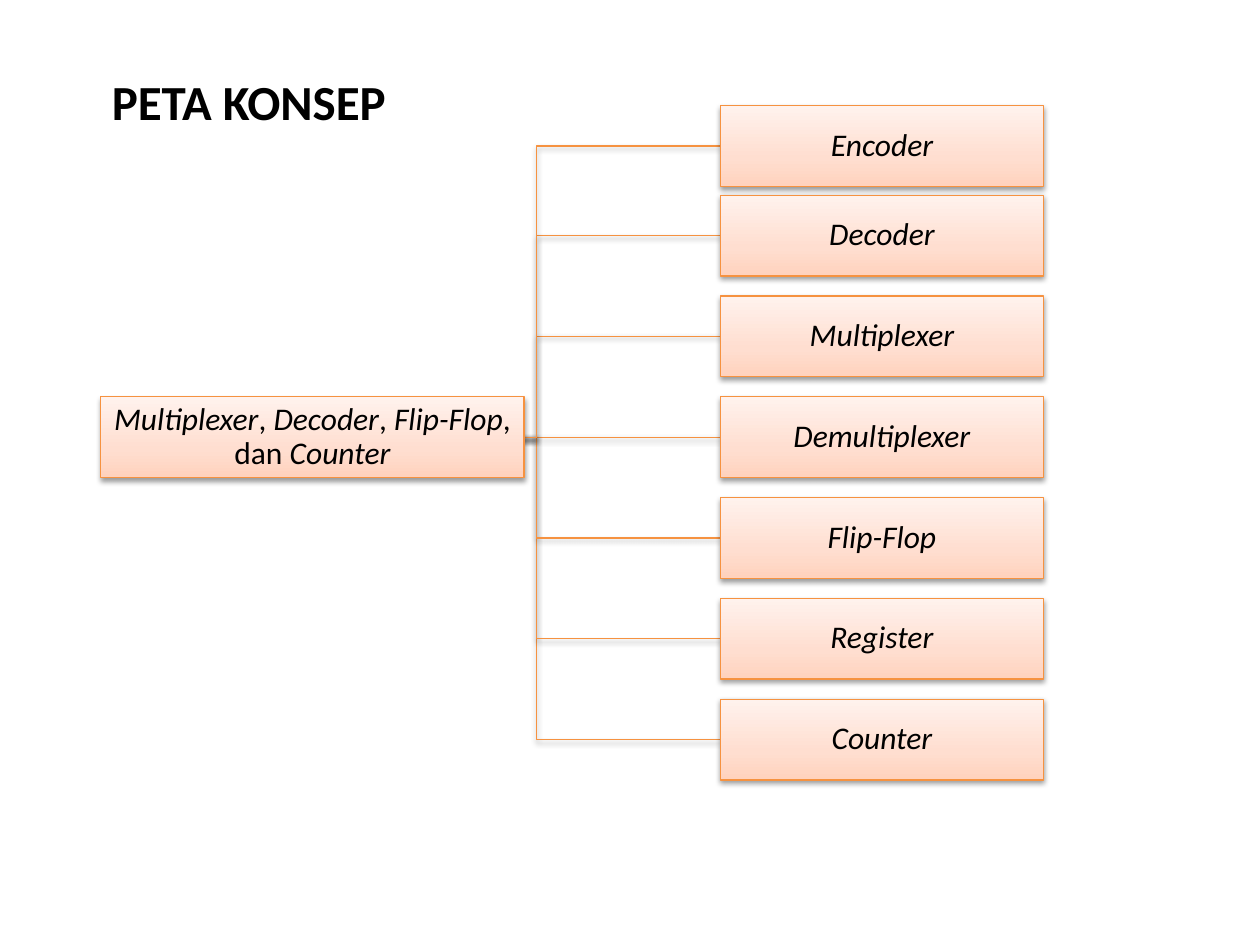
from copy import deepcopy

from pptx import Presentation
from pptx.dml.color import RGBColor
from pptx.enum.shapes import MSO_CONNECTOR, MSO_SHAPE
from pptx.enum.text import MSO_ANCHOR, PP_ALIGN
from pptx.oxml import parse_xml
from pptx.oxml.ns import nsdecls, qn
from pptx.util import Inches, Pt

BLACK = RGBColor(0x00, 0x00, 0x00)
ORANGE = RGBColor(0xF6, 0x92, 0x40)
PEACH_STOPS = [
    (0, RGBColor(0xFF, 0xD2, 0xBD)),
    (0.35, RGBColor(0xFF, 0xDE, 0xD0)),
    (1, RGBColor(0xFF, 0xF2, 0xED)),
]
RECTANGLE = MSO_SHAPE.RECTANGLE
STRAIGHT = MSO_CONNECTOR.STRAIGHT
CENTER = PP_ALIGN.CENTER
MIDDLE = MSO_ANCHOR.MIDDLE

FONT = "Calibri"
BOX_HEIGHT = 0.64
ROOT_LEFT, ROOT_TOP, ROOT_WIDTH = 0.8, 3.15, 3.36
TOPIC_LEFT, TOPIC_WIDTH = 5.72, 2.56
FIRST_TOP, SECOND_TOP, TOPIC_PITCH = 0.84, 1.55, 0.8
BRANCH_START, BRANCH_BEND = 2.8, 4.26

ROOT_RUNS = [
    ("Multiplexer", True), (", ", False), ("Decoder", True), (", ", False),
    ("Flip-Flop", True), (", dan ", False), ("Counter", True),
]
TOPICS = [
    "Encoder", "Decoder", "Multiplexer", "Demultiplexer",
    "Flip-Flop", "Register", "Counter",
]


def add_run(paragraph, text, size=18, bold=False, italic=False):
    run = paragraph.add_run()
    run.text = text
    font = run.font
    font.name = FONT
    font.size = Pt(size)
    font.bold = bold
    font.italic = italic
    font.color.rgb = BLACK


def style_outline(shape):
    shape.line.color.rgb = ORANGE
    shape.line.width = Pt(0.75)
    shape.element.spPr.append(parse_xml(
        f'<a:effectLst {nsdecls("a")}>'
        '<a:outerShdw blurRad="40000" dist="20000" dir="5400000" rotWithShape="0">'
        '<a:srgbClr val="000000"><a:alpha val="38000"/></a:srgbClr>'
        '</a:outerShdw></a:effectLst>'
    ))


def fill_gradient(shape):
    shape.fill.gradient()
    shape.fill.gradient_angle = 90
    stop_list = shape.element.spPr.find(".//" + qn("a:gsLst"))
    stop_list.append(deepcopy(stop_list[0]))
    for stop, (position, color) in zip(shape.fill.gradient_stops, PEACH_STOPS):
        stop.position = position
        stop.color.rgb = color


def add_box(slide, left, top, width, runs):
    box = slide.shapes.add_shape(
        RECTANGLE, Inches(left), Inches(top), Inches(width), Inches(BOX_HEIGHT)
    )
    fill_gradient(box)
    style_outline(box)
    frame = box.text_frame
    frame.word_wrap = True
    frame.vertical_anchor = MIDDLE
    frame.margin_left = frame.margin_right = Inches(0.01)
    frame.margin_top = frame.margin_bottom = Inches(0.01)
    paragraph = frame.paragraphs[0]
    paragraph.alignment = CENTER
    paragraph.line_spacing = 0.9
    for text, italic in runs:
        add_run(paragraph, text, italic=italic)


def add_branch(slide, start_y, end_y):
    start_x, bend_x, end_x = map(Inches, (BRANCH_START, BRANCH_BEND, TOPIC_LEFT))
    start_y, end_y = Inches(start_y), Inches(end_y)
    if start_y == end_y:
        branch = slide.shapes.add_connector(STRAIGHT, start_x, start_y, end_x, end_y)
    else:
        builder = slide.shapes.build_freeform(start_x, start_y)
        builder.add_line_segments(
            [(bend_x, start_y), (bend_x, end_y), (end_x, end_y)], close=False
        )
        branch = builder.convert_to_shape()
        branch.fill.background()
    style_outline(branch)


def add_title(slide, text):
    title = slide.shapes.add_textbox(
        Inches(-1.85), Inches(0.52), Inches(7.65), Inches(0.57)
    )
    title.text_frame.word_wrap = True
    paragraph = title.text_frame.paragraphs[0]
    paragraph.alignment = CENTER
    add_run(paragraph, text, size=28, bold=True)


def main():
    presentation = Presentation()
    presentation.slide_width = Inches(10)
    presentation.slide_height = Inches(7.5)
    slide = presentation.slides.add_slide(presentation.slide_layouts[6])

    later_tops = [
        round(SECOND_TOP + TOPIC_PITCH * row, 2) for row in range(len(TOPICS) - 1)
    ]
    topic_tops = [FIRST_TOP] + later_tops
    half_height = BOX_HEIGHT / 2
    for top in reversed(topic_tops):
        add_branch(slide, ROOT_TOP + half_height, top + half_height)
    add_box(slide, ROOT_LEFT, ROOT_TOP, ROOT_WIDTH, ROOT_RUNS)
    for topic, top in zip(TOPICS, topic_tops):
        add_box(slide, TOPIC_LEFT, top, TOPIC_WIDTH, [(topic, True)])
    add_title(slide, "PETA KONSEP")

    presentation.save("out.pptx")


if __name__ == "__main__":
    main()
